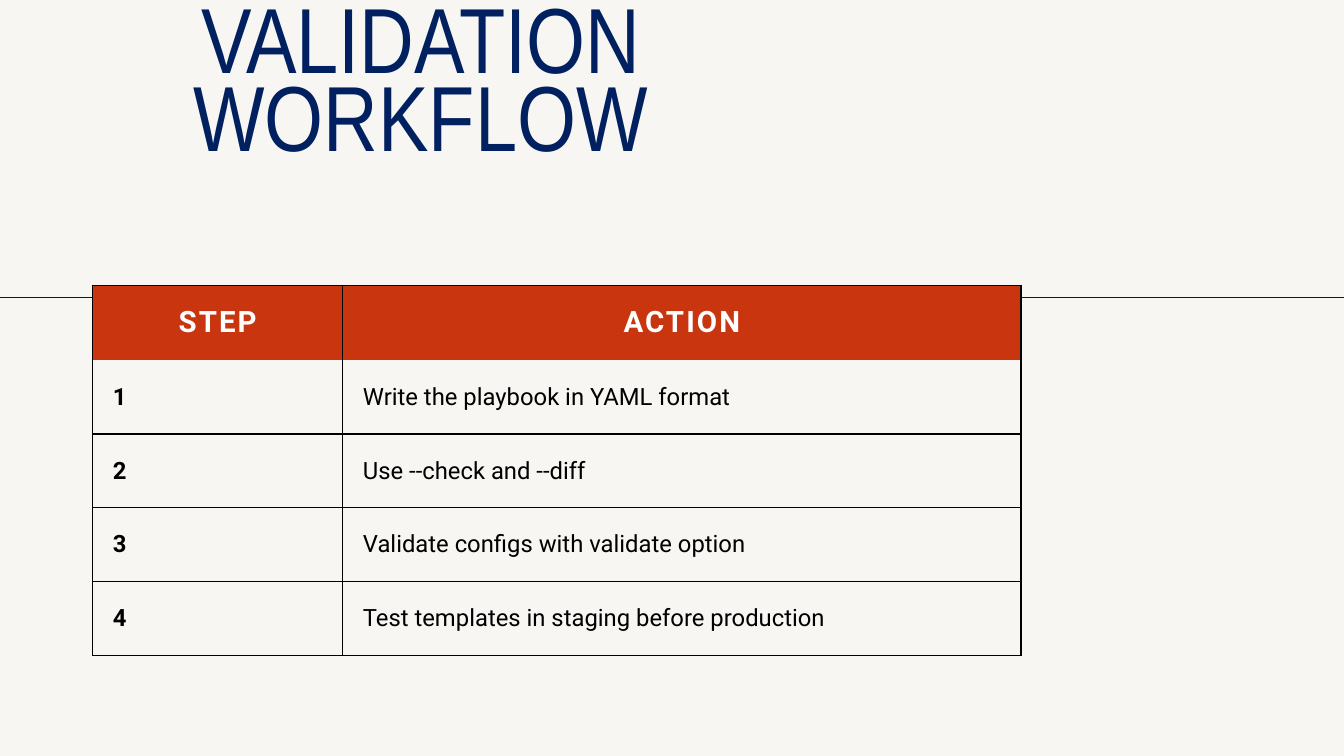
from lxml import etree
from pptx import Presentation
from pptx import util as u
from pptx.dml.color import RGBColor
from pptx.enum import shapes, text
from pptx.oxml import ns

PAPER = RGBColor(0xF7, 0xF6, 0xF3)
RULE = RGBColor(0x17, 0x17, 0x17)
NAVY = RGBColor(0x00, 0x20, 0x60)
RUST = RGBColor(0xC8, 0x35, 0x0F)
WHITE = RGBColor(0xFF, 0xFF, 0xFF)
BLACK = RGBColor(0x00, 0x00, 0x00)

ROWS = [
    ("STEP", "ACTION"),
    ("1", "Write the playbook in YAML format"),
    ("2", "Use --check and --diff"),
    ("3", "Validate configs with validate option"),
    ("4", "Test templates in staging before production"),
]
COLUMN_WIDTHS = (178.56, 484.56)
ROW_HEIGHT = 52.8
CELL_MARGIN = u.Pt(14.4)


def add_border(cell, side, visible):
    properties = cell._tc.get_or_add_tcPr()
    line = etree.SubElement(properties, ns.qn("a:ln" + side), w=str(u.Pt(1)))
    if visible:
        fill = etree.SubElement(line, ns.qn("a:solidFill"))
        etree.SubElement(fill, ns.qn("a:srgbClr"), val=str(BLACK))
    else:
        etree.SubElement(line, ns.qn("a:noFill"))


presentation = Presentation()
presentation.slide_width = u.Pt(960)
presentation.slide_height = u.Pt(540)
slide = presentation.slides.add_slide(presentation.slide_layouts[5])
slide.background.fill.solid()
slide.background.fill.fore_color.rgb = PAPER

# Horizontal rule behind the table
rule = slide.shapes.add_connector(
    shapes.MSO_CONNECTOR.STRAIGHT, u.Pt(0), u.Pt(212.4), u.Pt(960), u.Pt(212.4))
rule.line.color.rgb = RULE
rule.line.width = u.Pt(0.75)
etree.SubElement(rule._element.spPr, ns.qn("a:effectLst"))

# Title
title = slide.shapes.title
title.left, title.top = u.Pt(25.2), u.Pt(1.44)
title.width, title.height = u.Pt(550.8), u.Pt(124.56)
frame = title.text_frame
frame.word_wrap = True
frame.auto_size = text.MSO_AUTO_SIZE.NONE
frame.vertical_anchor = text.MSO_ANCHOR.MIDDLE
paragraph = frame.paragraphs[0]
paragraph.alignment = text.PP_ALIGN.CENTER
paragraph.line_spacing = 0.7
run = paragraph.add_run()
run.text = "VALIDATION WORKFLOW"
run.font.name = "Arial Narrow"
run.font.size = u.Pt(66)
run.font.color.rgb = NAVY

# Table of steps
table = slide.shapes.add_table(
    len(ROWS), len(COLUMN_WIDTHS), u.Pt(66.24), u.Pt(203.76),
    u.Pt(sum(COLUMN_WIDTHS)), u.Pt(ROW_HEIGHT * len(ROWS))).table
table.first_row = False
table.horz_banding = False
for column, width in zip(table.columns, COLUMN_WIDTHS):
    column.width = u.Pt(width)

for row_index, row in enumerate(ROWS):
    table.rows[row_index].height = u.Pt(ROW_HEIGHT)
    is_header = row_index == 0
    for column_index, label in enumerate(row):
        cell = table.cell(row_index, column_index)
        cell.margin_left = cell.margin_right = CELL_MARGIN
        cell.margin_top = cell.margin_bottom = CELL_MARGIN
        cell.vertical_anchor = text.MSO_ANCHOR.MIDDLE

        # No border between the header and the first step
        for side in "LRTB":
            hidden = (row_index, side) in ((0, "B"), (1, "T"))
            add_border(cell, side, not hidden)
        if is_header:
            cell.fill.solid()
            cell.fill.fore_color.rgb = RUST
        else:
            cell.fill.background()

        paragraph = cell.text_frame.paragraphs[0]
        paragraph.alignment = text.PP_ALIGN.CENTER if is_header else text.PP_ALIGN.LEFT
        run = paragraph.add_run()
        run.text = label
        run.font.name = "Roboto"
        run.font.size = u.Pt(21 if is_header else 17)
        run.font.bold = is_header or column_index == 0
        run.font.color.rgb = WHITE if is_header else BLACK
        if is_header:
            run.font._element.set("spc", "150")

presentation.save("out.pptx")
